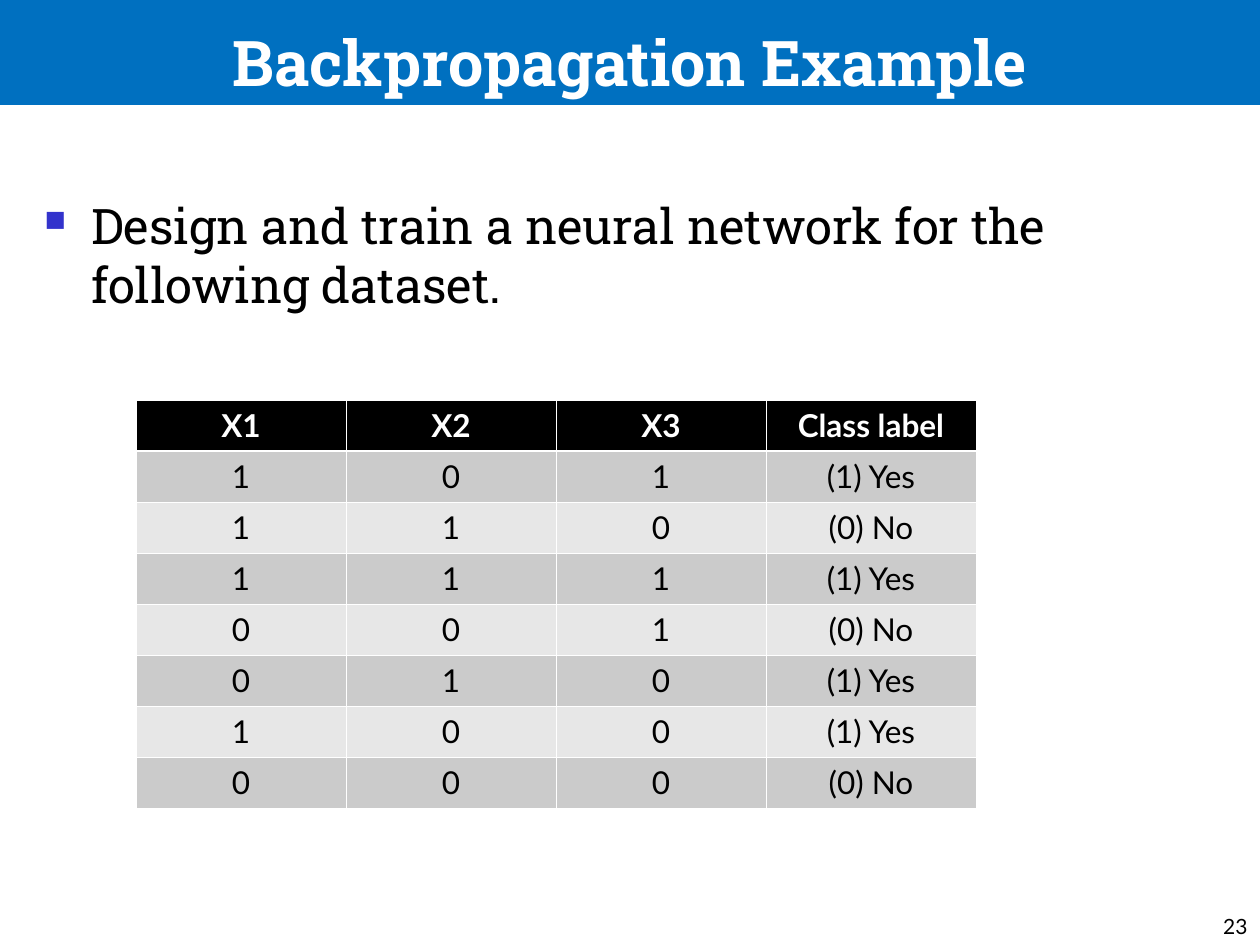
from typing import NamedTuple

import lxml.etree
import pptx
import pptx.dml.color
import pptx.enum.shapes
import pptx.enum.text
import pptx.oxml.ns
import pptx.util

PX_PER_INCH = 126
SLAB, SANS = "Roboto Slab", "Lato"
BLACK, WHITE, BLUE, BULLET_BLUE = "000000", "FFFFFF", "0070C0", "3333CC"
BANDS = ("CBCBCB", "E7E7E7")
THIN, THICK = 0.45, 1.47
ALIGN = pptx.enum.text.PP_ALIGN
ANCHOR = pptx.enum.text.MSO_ANCHOR


class Box(NamedTuple):
    left: int
    top: int
    width: int
    height: int


class Style(NamedTuple):
    font: str
    size: int
    color: str = BLACK
    bold: bool = False


TITLE_BAR = Box(0, 0, 1260, 105)
TASK_AREA = Box(32, 189, 1197, 714)
NUMBER_AREA = Box(998, 892, 262, 53)
DATASET_AREA = Box(136, 400, 840, 408)
BULLET_INDENT = 47

DATASET = [
    ("X1", "X2", "X3", "Class label"),
    ("1", "0", "1", "(1) Yes"),
    ("1", "1", "0", "(0) No"),
    ("1", "1", "1", "(1) Yes"),
    ("0", "0", "1", "(0) No"),
    ("0", "1", "0", "(1) Yes"),
    ("1", "0", "0", "(1) Yes"),
    ("0", "0", "0", "(0) No"),
]


def px(length: int) -> pptx.util.Emu:
    return pptx.util.Emu(round(length * 914400 / PX_PER_INCH))


def emu_box(box: Box) -> list:
    return [px(length) for length in box]


def rgb(color: str) -> pptx.dml.color.RGBColor:
    return pptx.dml.color.RGBColor.from_string(color)


def add_element(parent, tag: str, **attributes: str):
    return lxml.etree.SubElement(parent, pptx.oxml.ns.qn(tag), attributes)


def write(frame, text: str, style: Style, align=ALIGN.LEFT, anchor=ANCHOR.TOP) -> None:
    frame.word_wrap = True
    frame.vertical_anchor = anchor
    paragraph = frame.paragraphs[0]
    paragraph.alignment = align
    run = paragraph.add_run()
    run.text = text
    run.font.name = style.font
    run.font.size = pptx.util.Pt(style.size)
    run.font.bold = style.bold
    run.font.color.rgb = rgb(style.color)


def add_bullet(paragraph) -> None:
    properties = paragraph._p.get_or_add_pPr()
    properties.set("marL", str(px(BULLET_INDENT)))
    properties.set("indent", str(-px(BULLET_INDENT)))
    add_element(add_element(properties, "a:buClr"), "a:srgbClr", val=BULLET_BLUE)
    add_element(properties, "a:buSzPct", val="60000")
    add_element(properties, "a:buChar", char="■")


def add_borders(cell, top: float, bottom: float) -> None:
    properties = cell._tc.get_or_add_tcPr()
    edges = {"a:lnL": THIN, "a:lnR": THIN, "a:lnT": top, "a:lnB": bottom}
    for tag, width in edges.items():
        line = add_element(properties, tag, w=str(pptx.util.Pt(width)))
        add_element(add_element(line, "a:solidFill"), "a:srgbClr", val=WHITE)


def add_title(slide) -> None:
    bar = slide.shapes.add_shape(
        pptx.enum.shapes.MSO_SHAPE.RECTANGLE, *emu_box(TITLE_BAR))
    bar.shadow.inherit = False
    bar.fill.solid()
    bar.fill.fore_color.rgb = rgb(BLUE)
    bar.line.fill.background()
    write(bar.text_frame, "Backpropagation Example",
          Style(SLAB, 36, WHITE, True), ALIGN.CENTER, ANCHOR.BOTTOM)


def add_task(slide) -> None:
    frame = slide.shapes.add_textbox(*emu_box(TASK_AREA)).text_frame
    add_bullet(frame.paragraphs[0])
    write(frame, "Design and train a neural network for the following dataset.",
          Style(SLAB, 28))


def add_dataset(slide) -> None:
    table = slide.shapes.add_table(
        len(DATASET), len(DATASET[0]), *emu_box(DATASET_AREA)).table
    table.horz_banding = False
    for row_index, values in enumerate(DATASET):
        is_header = row_index == 0
        style = Style(SANS, 18, WHITE, True) if is_header else Style(SANS, 18)
        fill = BLACK if is_header else BANDS[(row_index - 1) % 2]
        for column_index, value in enumerate(values):
            cell = table.cell(row_index, column_index)
            write(cell.text_frame, value, style, ALIGN.CENTER)
            add_borders(cell, top=THICK if row_index == 1 else THIN,
                        bottom=THICK if is_header else THIN)
            cell.fill.solid()
            cell.fill.fore_color.rgb = rgb(fill)


def add_slide_number(slide) -> None:
    frame = slide.shapes.add_textbox(*emu_box(NUMBER_AREA)).text_frame
    write(frame, "23", Style(SANS, 12), ALIGN.RIGHT, ANCHOR.BOTTOM)


def main() -> None:
    presentation = pptx.Presentation()
    presentation.slide_width = px(1260)
    presentation.slide_height = px(945)
    slide = presentation.slides.add_slide(presentation.slide_layouts[6])
    add_slide_number(slide)
    add_title(slide)
    add_task(slide)
    add_dataset(slide)
    presentation.save("out.pptx")


if __name__ == "__main__":
    main()
